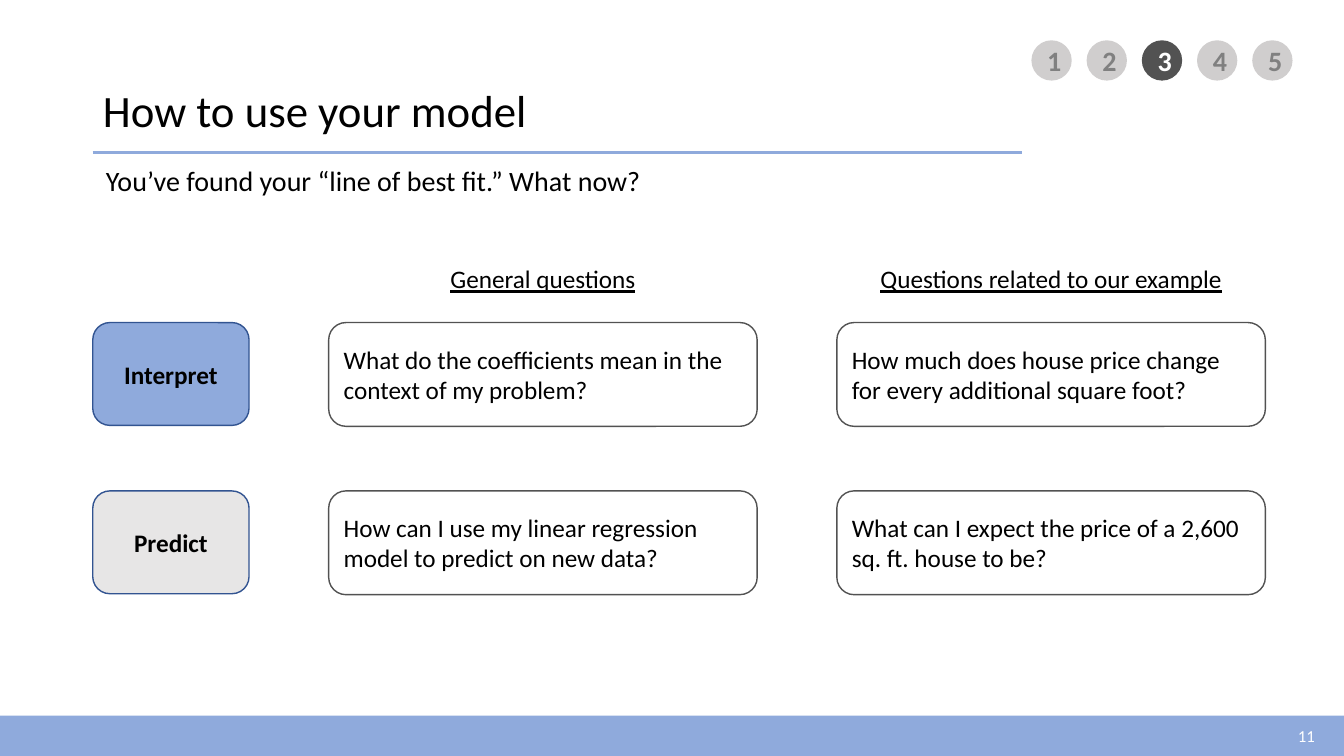
from lxml import etree
from pptx import Presentation
from pptx.dml.color import RGBColor
from pptx.enum import shapes, text
from pptx.oxml import ns
from pptx.util import Inches, Pt

COLORS = {
    "blue": "8FAADC", "navy": "325491", "dark": "525252", "silver": "D0CECE",
    "light": "E7E6E6", "gray": "808080", "black": "000000", "white": "FFFFFF",
}
LEFT, RIGHT, CENTER = text.PP_ALIGN.LEFT, text.PP_ALIGN.RIGHT, text.PP_ALIGN.CENTER
RECTANGLE = shapes.MSO_SHAPE.RECTANGLE
ROUNDED = shapes.MSO_SHAPE.ROUNDED_RECTANGLE
OVAL = shapes.MSO_SHAPE.OVAL


def color(name):
    return RGBColor.from_string(COLORS[name])


def write(shape, words, size=18, ink="black", bold=False, underline=False,
          align=LEFT, spacing=None, insets=(0.1, 0.05, 0.1, 0.05)):
    """Fill a shape with one formatted paragraph; insets run left, top, right, bottom."""
    frame = shape.text_frame
    frame.word_wrap = True
    frame.auto_size = text.MSO_AUTO_SIZE.NONE
    frame.vertical_anchor = text.MSO_ANCHOR.MIDDLE
    (frame.margin_left, frame.margin_top,
     frame.margin_right, frame.margin_bottom) = map(Inches, insets)
    paragraph = frame.paragraphs[0]
    paragraph.alignment = align
    paragraph.line_spacing = spacing
    run = paragraph.add_run()
    run.text = words
    font = run.font
    font.name, font.size = "Calibri", Pt(size)
    font.bold, font.underline = bold, underline
    font.color.rgb = color(ink)


class SlideBuilder:
    """Holds the current slide and the style shared by its elements."""

    def __init__(self, slide):
        self.slide = slide

    def title(self, box, words):
        placeholder = self.slide.shapes.title
        (placeholder.left, placeholder.top,
         placeholder.width, placeholder.height) = map(Inches, box)
        write(placeholder, words, size=32, spacing=0.9)

    def shape(self, kind, box, fill=None, line=None, words=None, **style):
        shape = self.slide.shapes.add_shape(kind, *map(Inches, box))
        shape.shadow.inherit = False
        if fill:
            shape.fill.solid()
            shape.fill.fore_color.rgb = color(fill)
        else:
            shape.fill.background()
        if line:
            shape.line.color.rgb = color(line)
            shape.line.width = Pt(1)
        else:
            shape.line.fill.background()
        if words:
            write(shape, words, **style)

    def text_box(self, box, words, **style):
        write(self.slide.shapes.add_textbox(*map(Inches, box)), words, **style)

    def rule(self, left, right, top):
        line = self.slide.shapes.add_connector(
            shapes.MSO_CONNECTOR.STRAIGHT, *map(Inches, (left, top, right, top)))
        line.line.color.rgb = color("blue")
        line.line.width = Pt(2.25)
        etree.SubElement(line._element.spPr, ns.qn("a:effectLst"))


def main():
    presentation = Presentation()
    presentation.slide_width, presentation.slide_height = Inches(13.33), Inches(7.5)
    builder = SlideBuilder(presentation.slides.add_slide(presentation.slide_layouts[5]))

    margin = 0.92
    even = (0.1, 0.1, 0.1, 0.1)
    builder.shape(RECTANGLE, (0, 7.1, 13.33, 0.4), fill="blue")
    builder.text_box((10.14, 7.1, 3, 0.4), "11", size=12, ink="white", align=RIGHT)
    builder.rule(margin, 10.14, 1.51)
    builder.title((margin, 0.4, 11.5, 1.45), "How to use your model")
    builder.shape(ROUNDED, (margin, 1.4, 11.16, 0.67), size=20, insets=(0.1, 0.1, 0.1, 0),
                  words="You’ve found your “line of best fit.” What now?")

    current_step = 3
    for step in range(1, 6):
        fill, ink = ("dark", "white") if step == current_step else ("silver", "gray")
        builder.shape(OVAL, (10.23 + 0.5475 * (step - 1), 0.4, 0.4, 0.4), fill=fill,
                      words=str(step), size=20, ink=ink, bold=True, align=CENTER)

    columns = (3.26, 8.3)
    headings = ("General questions", "Questions related to our example")
    for left, heading in zip(columns, headings):
        builder.shape(ROUNDED, (left, 2.49, 4.25, 0.55), words=heading,
                      underline=True, align=CENTER, insets=even)

    rows = (
        (3.2, "Interpret", "blue",
         ("What do the coefficients mean in the context of my problem?",
          "How much does house price change for every additional square foot?")),
        (4.87, "Predict", "light",
         ("How can I use my linear regression model to predict on new data?",
          "What can I expect the price of a 2,600 sq. ft. house to be?")),
    )
    for top, label, fill, questions in rows:
        builder.shape(ROUNDED, (margin, top, 1.55, 1.02), fill=fill, line="navy",
                      words=label, bold=True, align=CENTER)
        for left, question in zip(columns, questions):
            builder.shape(ROUNDED, (left, top, 4.25, 1.03), line="dark",
                          words=question, insets=even)

    presentation.save("out.pptx")


if __name__ == "__main__":
    main()
